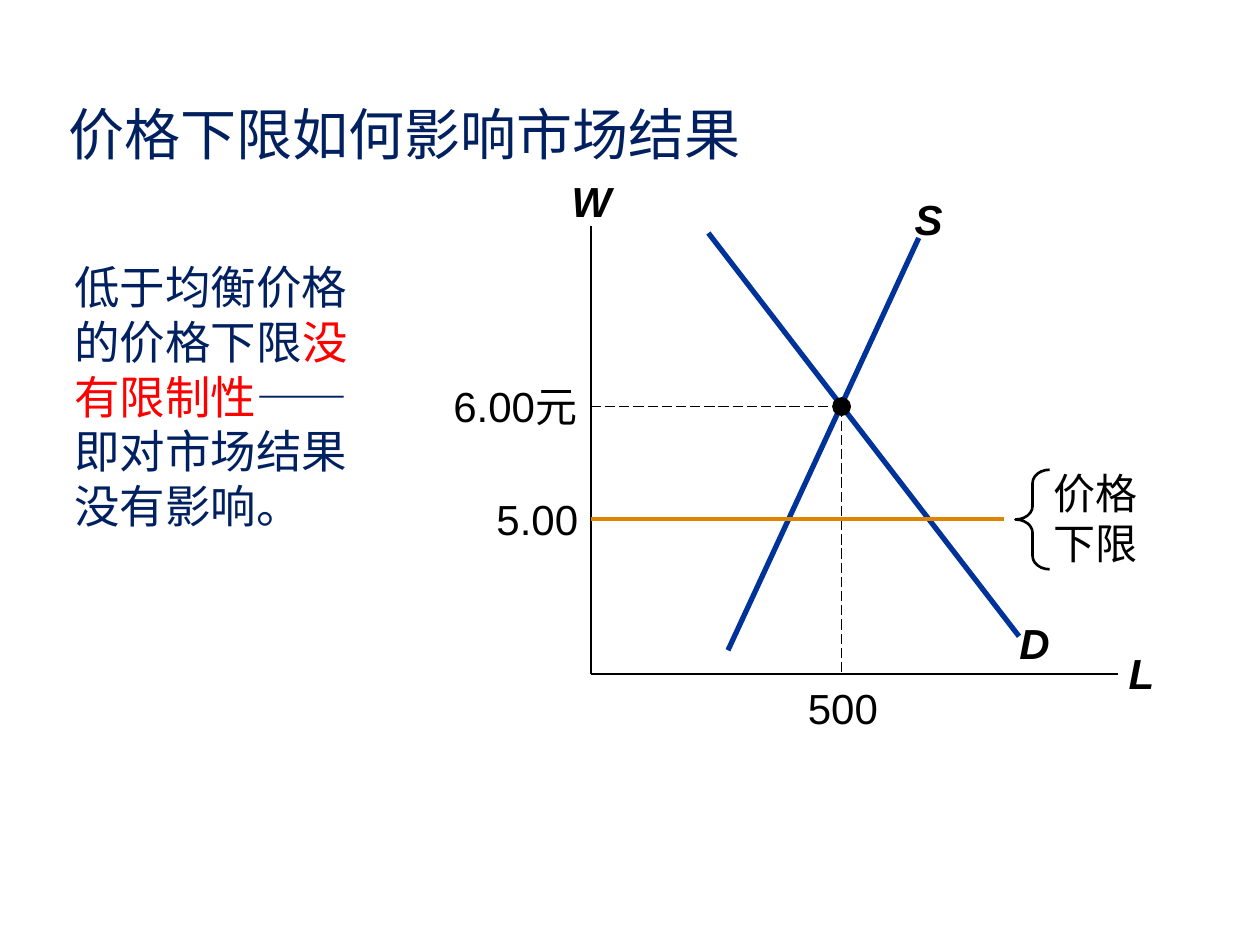
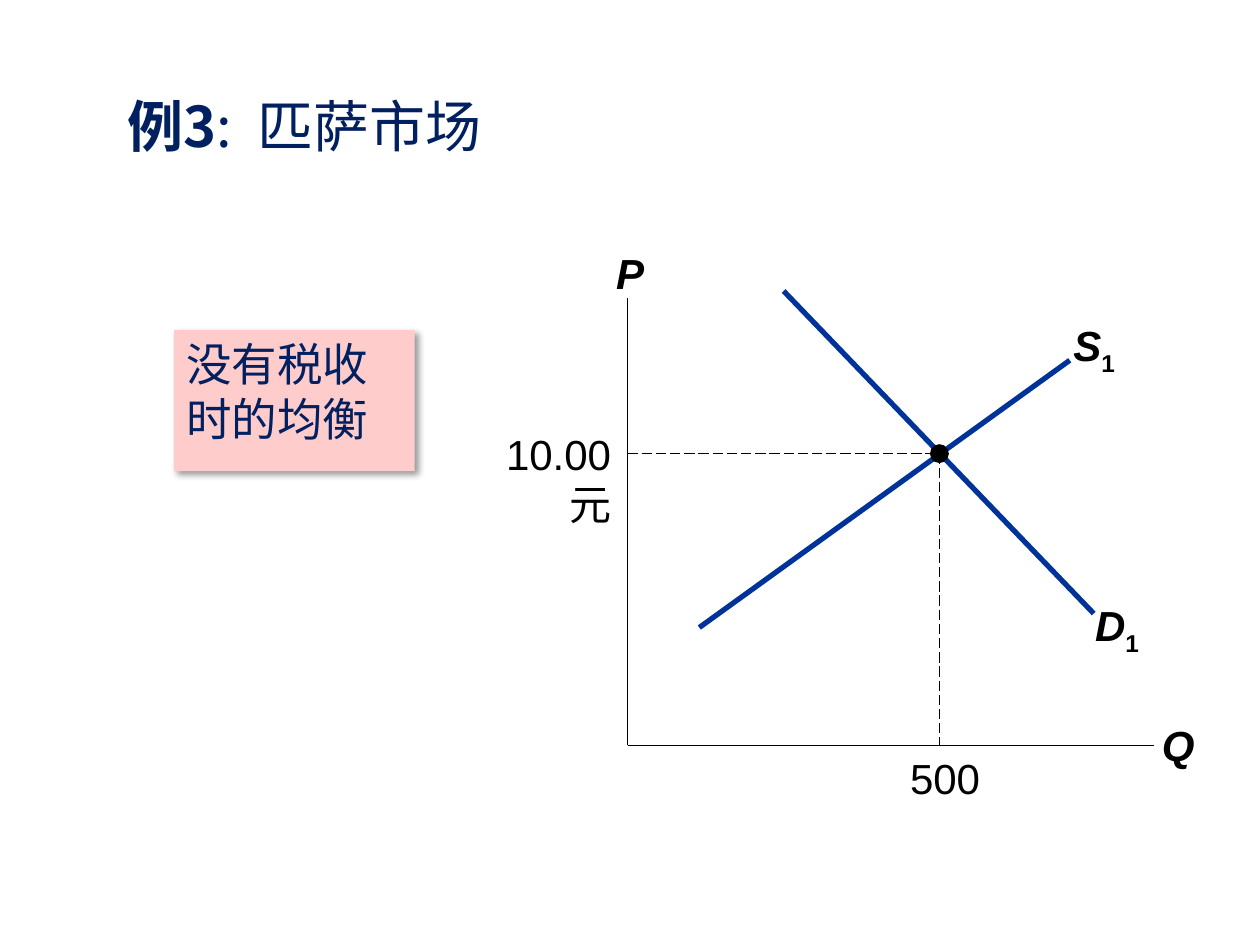
import pptx
import pptx.dml.color
import pptx.enum.dml
import pptx.enum.shapes
import pptx.enum.text
import pptx.oxml
import pptx.oxml.ns
import pptx.util
from dataclasses import dataclass

Pt = pptx.util.Pt
SHAPE = pptx.enum.shapes.MSO_SHAPE
ALIGN = pptx.enum.text.PP_ALIGN
ANCHOR = pptx.enum.text.MSO_ANCHOR


@dataclass(frozen=True)
class Theme:
    navy: str = "002060"
    red: str = "FF0000"
    black: str = "000000"
    curve: str = "003399"
    floor: str = "DE8400"
    note: str = "FFCCCC"
    latin: str = "Arial"
    chinese: str = "Noto Sans CJK SC"
    title_size: float = 32
    body_size: float = 26
    label_size: float = 24


THEME = Theme()

# Content: boxes are (left, top, width, height), points are (x, y)
FLOOR_SLIDE = {
    "title": ([("价格下限如何影响市场结果", {})], (18.7, 50.4, 425.5, 51.1)),
    "body": ([("低于均衡价格的价格下限", {}), ("没有限制性", {"color": THEME.red}),
              ("——即对市场结果没有影响。", {})], (35.3, 144.7, 193, 185.8)),
    "boxed": False,
    "origin": (337.6, 385),
    "axes": ("W", -18, "L"),
    "curves": [("D", "", (404.8, 133.2), (582.3, 363.6), (571, 349.2, 40.3, 36)),
               ("S", "", (416, 371.6), (525, 136), (510.5, 107.3, 40.3, 36))],
    "equilibrium": (480.9, 232.3),
    "values": [("6.00元", ALIGN.RIGHT, (256.3, 217.4, 73.4, 28.8)),
               ("500", ALIGN.CENTER, (447.1, 390.2, 69.1, 28.8))],
    "floor": {"label": "价格下限", "y": 296.7, "end": 573.8,
              "box": (594.7, 263.5, 76.3, 65.5), "brace": (580.3, 268.4, 19.5, 56.9),
              "value": ("5.00", ALIGN.RIGHT, (257, 282.2, 73.4, 28.8))},
}
PIZZA_SLIDE = {
    "title": ([("例3", {"bold": True}), (":  匹萨市场", {})], (32.4, 48.2, 283, 46.1)),
    "body": ([("没有税收时的均衡", {})], (99.4, 188.6, 137.5, 80.6)),
    "boxed": True,
    "origin": (358.6, 426),
    "axes": ("P", -15, "Q"),
    "curves": [("S", "1", (399.6, 358.6), (611.3, 205.9), (601.2, 179.3, 48.2, 36)),
               ("D", "1", (447.8, 166.3), (625, 350.6), (614.2, 339.1, 48.2, 36))],
    "equilibrium": (536.8, 259.2),
    "values": [("10.00元", ALIGN.RIGHT, (266.4, 244.8, 82.8, 58.3)),
               ("500", ALIGN.CENTER, (517, 429.8, 46.1, 28.8))],
    "floor": None,
}
AXIS_HEIGHT, AXIS_WIDTH, DOT = 255.6, 301, 10.8


def rgb(color):
    return pptx.dml.color.RGBColor.from_string(color)


def points(values):
    return [Pt(value) for value in values]


def add_child(parent, xml):
    parent.append(pptx.oxml.parse_xml(xml.replace(">", f" {pptx.oxml.ns.nsdecls('a')}>", 1)))


def write(shape, runs, size, color, font, align=ALIGN.LEFT, before=0, inset=True,
          anchor=ANCHOR.TOP, grow=False):
    frame = shape.text_frame
    frame.word_wrap = True
    frame.vertical_anchor = anchor
    if grow:
        frame.auto_size = pptx.enum.text.MSO_AUTO_SIZE.SHAPE_TO_FIT_TEXT
    if not inset:
        frame.margin_left = frame.margin_right = frame.margin_top = frame.margin_bottom = 0
    paragraph = frame.paragraphs[0]
    paragraph.alignment = align
    if before:
        add_child(paragraph._p.get_or_add_pPr(),
                  f'<a:spcBef><a:spcPct val="{before * 1000}"/></a:spcBef>')
    for text, look in runs:
        run = paragraph.add_run()
        run.text = text
        run.font.size = Pt(size)
        run.font.name = font
        run.font.bold = look.get("bold", False)
        run.font.italic = look.get("italic", False)
        run.font.color.rgb = rgb(look.get("color", color))
        properties = run._r.get_or_add_rPr()
        add_child(properties, f'<a:ea typeface="{THEME.chinese}"></a:ea>')
        if look.get("subscript"):
            properties.set("baseline", "-25000")


def add_label(slide, box, runs, align=ALIGN.CENTER, inset=True, font=THEME.latin):
    write(slide.shapes.add_textbox(*points(box)), runs, THEME.label_size, THEME.black,
          font, align, before=50, inset=inset, grow=True)


def add_value(slide, text, align, box):
    add_label(slide, box, [(text, {})], align, inset=False)


def add_line(slide, start, end, color=THEME.black, width=1.0, dashed=False):
    line = slide.shapes.add_connector(pptx.enum.shapes.MSO_CONNECTOR.STRAIGHT,
                                      *points(start + end))
    line.line.color.rgb = rgb(color)
    line.line.width = Pt(width)
    if dashed:
        line.line.dash_style = pptx.enum.dml.MSO_LINE.LONG_DASH
    add_child(line._element.spPr, "<a:effectLst></a:effectLst>")


def add_filled(slide, kind, box, color):
    shape = slide.shapes.add_shape(kind, *points(box))
    shape.shadow.inherit = False
    shape.fill.solid()
    shape.fill.fore_color.rgb = rgb(color)
    shape.line.fill.background()
    return shape


def add_body(slide, runs, box, boxed):
    if boxed:
        body = add_filled(slide, SHAPE.RECTANGLE, box, THEME.note)
        effects = body._element.spPr.find(pptx.oxml.ns.qn("a:effectLst"))
        add_child(effects, '<a:outerShdw blurRad="50800" dist="38100" dir="2700000" algn="tl">'
                  '<a:srgbClr val="000000"><a:alpha val="40000"/></a:srgbClr></a:outerShdw>')
    else:
        body = slide.shapes.add_textbox(*points(box))
    write(body, runs, THEME.body_size, THEME.navy, THEME.chinese, before=20)


def add_axes(slide, origin, names):
    x, y = origin
    vertical, shift, horizontal = names
    add_line(slide, origin, (x, y - AXIS_HEIGHT))
    add_line(slide, origin, (x + AXIS_WIDTH, y))
    look = {"bold": True, "italic": True}
    add_label(slide, (x + shift, y - 288, 33.1, 36), [(vertical, look)])
    add_label(slide, (x + 296.7, y - 18.6, 36, 36), [(horizontal, look)])


def add_curve(slide, name, index, start, end, box):
    add_line(slide, start, end, THEME.curve, 3)
    runs = [(name, {"bold": True, "italic": True})]
    if index:
        runs.append((index, {"bold": True, "subscript": True}))
    add_label(slide, box, runs)


def add_equilibrium(slide, origin, centre):
    x, y = centre
    add_line(slide, (origin[0], y), centre, width=0.75, dashed=True)
    add_line(slide, centre, (x, origin[1]), width=0.75, dashed=True)
    add_filled(slide, SHAPE.OVAL, (x - DOT / 2, y - DOT / 2, DOT, DOT), THEME.black)


def add_floor(slide, origin, floor):
    add_line(slide, (origin[0], floor["y"]), (floor["end"], floor["y"]), THEME.floor, 2.25)
    add_label(slide, floor["box"], [(floor["label"], {})], ALIGN.LEFT, font=THEME.chinese)
    brace = slide.shapes.add_shape(SHAPE.LEFT_BRACE, *points(floor["brace"]))
    brace.shadow.inherit = False
    brace.adjustments[0] = 0.39
    brace.fill.background()
    brace.line.color.rgb = rgb(THEME.black)
    brace.line.width = Pt(1.5)
    add_value(slide, *floor["value"])


def build(deck, content):
    slide = deck.slides.add_slide(deck.slide_layouts[6])
    # Title and explanation
    runs, box = content["title"]
    write(slide.shapes.add_textbox(*points(box)), runs, THEME.title_size, THEME.navy,
          THEME.chinese, ALIGN.CENTER, anchor=ANCHOR.MIDDLE)
    add_body(slide, *content["body"], content["boxed"])
    # Market diagram
    origin = content["origin"]
    add_axes(slide, origin, content["axes"])
    for curve in content["curves"]:
        add_curve(slide, *curve)
    add_equilibrium(slide, origin, content["equilibrium"])
    for value in content["values"]:
        add_value(slide, *value)
    if content["floor"]:
        add_floor(slide, origin, content["floor"])


def main():
    deck = pptx.Presentation()
    deck.slide_width, deck.slide_height = Pt(720), Pt(540)
    for content in (FLOOR_SLIDE, PIZZA_SLIDE):
        build(deck, content)
    deck.save("out.pptx")


if __name__ == "__main__":
    main()
